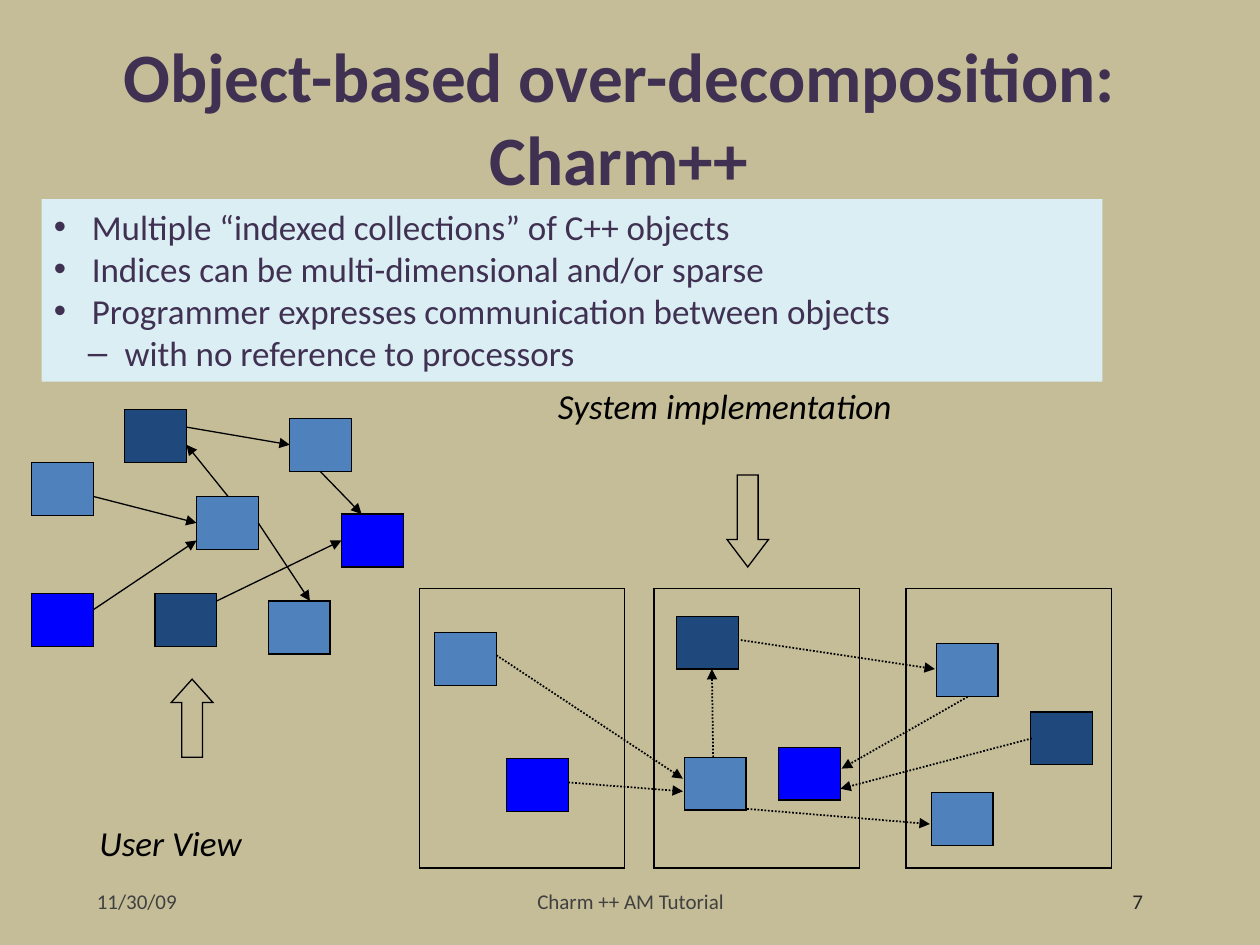
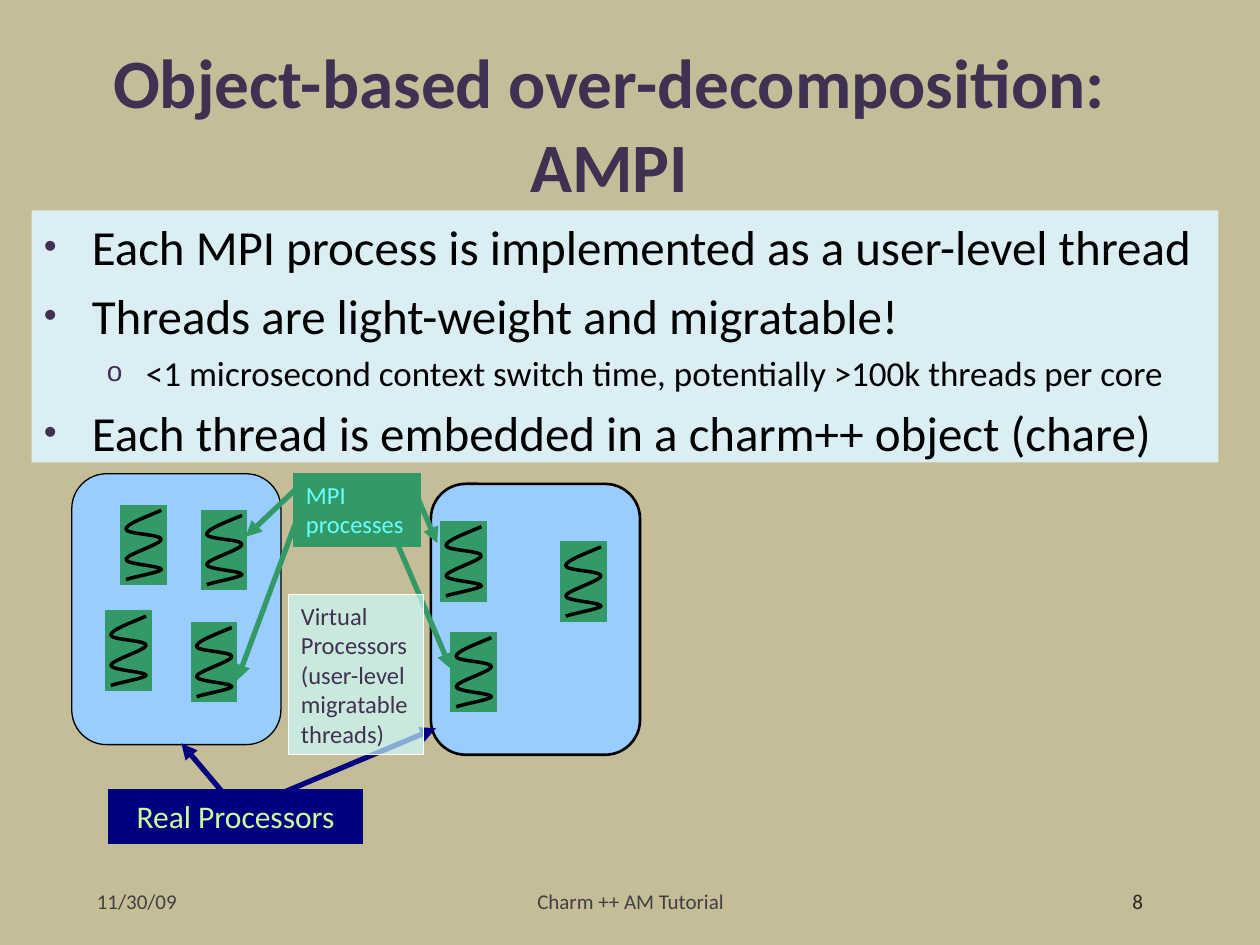
from lxml import etree
from pptx import Presentation
from pptx.dml.color import RGBColor
from pptx.enum.dml import MSO_LINE
from pptx.enum.shapes import MSO_CONNECTOR, MSO_SHAPE
from pptx.enum.text import MSO_ANCHOR, MSO_AUTO_SIZE, PP_ALIGN
from pptx.oxml.ns import qn
from pptx.util import Inches, Pt

RECTANGLE, ROUNDED = MSO_SHAPE.RECTANGLE, MSO_SHAPE.ROUNDED_RECTANGLE
UP_ARROW, DOWN_ARROW = MSO_SHAPE.UP_ARROW, MSO_SHAPE.DOWN_ARROW
LEFT, CENTER, RIGHT = PP_ALIGN.LEFT, PP_ALIGN.CENTER, PP_ALIGN.RIGHT
TOP, MIDDLE = MSO_ANCHOR.TOP, MSO_ANCHOR.MIDDLE
STRAIGHT, DOTTED = MSO_CONNECTOR.STRAIGHT, MSO_LINE.ROUND_DOT

FONT, BULLET_FONT = "Calibri", "Arial"
COLORS = {name: RGBColor.from_string(value) for name, value in {
    "background": "C4BD97", "purple": "403152", "panel": "DBEEF4",
    "black": "000000", "white": "FFFFFF", "date": "404040", "number": "262626",
    "light": "4F81BD", "dark": "1F497D", "bright": "0000FF",
    "processor": "99CCFF", "navy": "000080", "lime": "CCFF99",
    "green": "339966", "cyan": "66FFFF", "pale": "CCFFFF",
}.items()}


def add_box(slide, geometry, at, fill=None, line=None, weight=0.75,
            text="", size=14, color="black", align=LEFT):
    """Add a preset shape, with one paragraph of text if given."""
    shape = slide.shapes.add_shape(geometry, *map(Inches, at))
    shape.shadow.inherit = False
    if fill:
        shape.fill.solid()
        shape.fill.fore_color.rgb = COLORS[fill]
    else:
        shape.fill.background()
    if line:
        shape.line.color.rgb = COLORS[line]
        shape.line.width = Pt(weight)
        etree.SubElement(shape.line._get_or_add_ln(), qn("a:miter"), lim="800000")
    else:
        shape.line.fill.background()
    frame = shape.text_frame
    frame.word_wrap = True
    frame.vertical_anchor = TOP
    if text:
        paragraph = frame.paragraphs[0]
        paragraph.text = text
        paragraph.alignment = align
        paragraph.font.name = FONT
        paragraph.font.size = Pt(size)
        paragraph.font.color.rgb = COLORS[color]
    return shape


def add_arrow(slide, ends, color="black", weight=0.75, dash=None):
    """Add a straight arrow from (x1, y1) to (x2, y2)."""
    arrow = slide.shapes.add_connector(STRAIGHT, *map(Inches, ends))
    arrow.line.color.rgb = COLORS[color]
    arrow.line.width = Pt(weight)
    if dash:
        arrow.line.dash_style = dash
    etree.SubElement(arrow.line._get_or_add_ln(), qn("a:tailEnd"), type="triangle")
    etree.SubElement(arrow._element.spPr, qn("a:effectLst"))


presentation = Presentation()
presentation.slide_width, presentation.slide_height = Inches(10), Inches(7.5)
title_only = presentation.slide_layouts[5]

# Bullet styles: level, margin, hanging indent, character, bullet size, text size,
# space before, colour
charm_point = (0, 0.3, 0.3, "•", 100, 20, 0, "purple")
charm_detail = (1, 0.56, 0.29, "–", 100, 20, 0, "purple")
ampi_point = (0, 0.38, 0.38, "•", 75, 28, 5.6, "black")
ampi_detail = (1, 0.81, 0.31, "o", 80, 20, 4, "black")

contents = [
    ("Object-based over-decomposition: Charm++", (0.33, 0.3, 9.17, 1.25),
     "7", (0.33, 1.58, 8.42, 1.45), [
         ("Multiple “indexed collections” of C++ objects", charm_point),
         ("Indices can be multi-dimensional and/or sparse", charm_point),
         ("Programmer expresses communication between objects", charm_point),
         ("with no reference to processors", charm_detail)]),
    ("Object-based over-decomposition: AMPI", (0.17, 0.35, 9.33, 1.25),
     "8", (0.25, 1.67, 9.42, 2), [
         ("Each MPI process is implemented as a user-level thread", ampi_point),
         ("Threads are light-weight and migratable!", ampi_point),
         ("<1 microsecond context switch time, potentially >100k threads per core",
          ampi_detail),
         ("Each thread is embedded in a charm++ object (chare)", ampi_point)]),
]

# Shared parts: background, title, footers and bullet panel
for title_text, title_at, number, panel_at, bullets in contents:
    slide = presentation.slides.add_slide(title_only)
    slide.background.fill.solid()
    slide.background.fill.fore_color.rgb = COLORS["background"]

    title = slide.shapes.title
    title.left, title.top, title.width, title.height = map(Inches, title_at)
    title.text_frame.text = title_text
    title.text_frame.auto_size = MSO_AUTO_SIZE.NONE
    title.text_frame.vertical_anchor = MIDDLE
    paragraph = title.text_frame.paragraphs[0]
    paragraph.alignment = CENTER
    paragraph.font.name = FONT
    paragraph.font.size = Pt(39.6)
    paragraph.font.bold = True
    paragraph.font.color.rgb = COLORS["purple"]

    for text, left, width, align, color in [
            ("11/30/09", 0.67, 2.17, LEFT, "date"),
            ("Charm ++ AM Tutorial", 3.42, 3.17, CENTER, "date"),
            (number, 7.17, 2, RIGHT, "number")]:
        footer = slide.shapes.add_textbox(
            Inches(left), Inches(6.95), Inches(width), Inches(0.4))
        footer.text_frame.word_wrap = True
        footer.text_frame.vertical_anchor = MIDDLE
        paragraph = footer.text_frame.paragraphs[0]
        paragraph.text = text
        paragraph.alignment = align
        paragraph.font.name = FONT
        paragraph.font.size = Pt(12)
        paragraph.font.color.rgb = COLORS[color]

    frame = add_box(slide, RECTANGLE, panel_at, "panel").text_frame
    for index, (text, style) in enumerate(bullets):
        level, margin, hanging, character, bullet_size, size, before, color = style
        paragraph = frame.add_paragraph() if index else frame.paragraphs[0]
        paragraph.text = text
        paragraph.level = level
        properties = paragraph._p.get_or_add_pPr()
        properties.set("marL", str(Inches(margin)))
        properties.set("indent", str(-Inches(hanging)))
        bullet_color = etree.SubElement(properties, qn("a:buClr"))
        etree.SubElement(bullet_color, qn("a:srgbClr"), val=str(COLORS["purple"]))
        etree.SubElement(properties, qn("a:buSzPct"), val=str(bullet_size * 1000))
        etree.SubElement(properties, qn("a:buFont"), typeface=BULLET_FONT)
        etree.SubElement(properties, qn("a:buChar"), char=character)
        paragraph.alignment = LEFT
        paragraph.space_before = Pt(before)
        paragraph.font.name = FONT
        paragraph.font.size = Pt(size)
        paragraph.font.color.rgb = COLORS[color]

charm_slide, ampi_slide = presentation.slides

# Charm++: processors, then the objects of both views
for left in (3.33, 5.19, 7.19):
    add_box(charm_slide, RECTANGLE, (left, 4.67, 1.63, 2.22), line="black")

object_places = {
    "light": [(0.25, 3.67), (2.3, 3.32), (1.56, 3.94), (2.13, 4.77),
              (7.39, 6.29), (5.43, 6.01), (3.45, 5.02), (7.43, 5.11)],
    "dark": [(1.23, 4.71), (0.99, 3.25), (5.37, 4.89), (8.18, 5.65)],
    "bright": [(2.71, 4.08), (0.25, 4.71), (6.18, 5.93), (4.02, 6.02)],
}
for color, places in object_places.items():
    for left, top in places:
        add_box(charm_slide, RECTANGLE, (left, top, 0.49, 0.42), color, "black")

# Charm++: messages between objects
user_messages = [
    (0.74, 3.94, 1.56, 4.15), (0.74, 4.84, 1.56, 4.29), (1.72, 4.77, 2.71, 4.29),
    (1.81, 3.94, 1.48, 3.53), (1.48, 3.39, 2.3, 3.53), (2.05, 4.15, 2.46, 4.77),
    (2.54, 3.74, 2.87, 4.08)]
system_messages = [
    (3.94, 5.2, 5.42, 6.18), (4.51, 6.21, 5.42, 6.28), (5.88, 5.08, 7.42, 5.31),
    (7.68, 5.53, 6.68, 6.1), (8.19, 5.86, 6.67, 6.26), (5.66, 6.01, 5.65, 5.31),
    (5.93, 6.42, 7.38, 6.54)]
for ends in user_messages:
    add_arrow(charm_slide, ends)
for ends in system_messages:
    add_arrow(charm_slide, ends, weight=1, dash=DOTTED)

# Charm++: view labels with block arrows
for text, label_at, geometry, arrow_at, head in [
        ("User View", (0.69, 6.47, 1.45, 0.44), UP_ARROW, (1.36, 5.39, 0.33, 0.62), 0.56),
        ("System implementation", (4.33, 3, 3.2, 0.44),
         DOWN_ARROW, (5.77, 3.77, 0.33, 0.73), 0.66)]:
    label = charm_slide.shapes.add_textbox(*map(Inches, label_at))
    label.text_frame.word_wrap = False
    paragraph = label.text_frame.paragraphs[0]
    paragraph.text = text
    paragraph.font.name = FONT
    paragraph.font.size = Pt(20)
    paragraph.font.italic = True
    paragraph.font.color.rgb = COLORS["black"]
    block_arrow = add_box(charm_slide, geometry, arrow_at, line="black")
    block_arrow.adjustments[1] = head

# AMPI: real processors
for left, top, weight in [(3.42, 3.84, 1.5), (0.57, 3.76, 0.75)]:
    add_box(ampi_slide, ROUNDED, (left, top, 1.66, 2.15), "processor", "black", weight)
add_box(ampi_slide, RECTANGLE, (0.88, 6.28, 1.98, 0.4), "navy", "navy", 3,
        "Real Processors", 18, "lime", CENTER)
for ends in [(1.76, 6.28, 1.44, 5.9), (2.27, 6.28, 3.46, 5.78)]:
    add_arrow(ampi_slide, ends, "navy", 3)

# AMPI: MPI processes
add_box(ampi_slide, RECTANGLE, (2.33, 3.76, 1.01, 0.58), "green", "green",
        text="MPI processes", color="cyan")
for ends in [(2.35, 3.88, 1.95, 4.26), (2.35, 4.14, 1.88, 5.4),
             (3.16, 4.33, 3.58, 5.31), (3.25, 3.8, 3.47, 4.31)]:
    add_arrow(ampi_slide, ends, "green", 3)

# AMPI: threads, each a green box with a coil of five Bézier curves
coil = [
    (0.28, 0),
    (0.14, 0.06), (0, 0.11), (0, 0.15),
    (0, 0.19), (0.28, 0.19), (0.28, 0.23),
    (0.28, 0.27), (0, 0.35), (0, 0.39),
    (0, 0.43), (0.28, 0.44), (0.28, 0.47),
    (0.28, 0.49), (0.05, 0.53), (0, 0.55),
]
for left, top in [(0.96, 4.01), (1.6, 4.05), (1.52, 4.94), (4.45, 4.3),
                  (3.58, 5.02), (3.5, 4.14), (0.84, 4.85)]:
    add_box(ampi_slide, RECTANGLE, (left, top, 0.36, 0.63), "green", "green")
    points = [(Inches(left + 0.04 + x), Inches(top + 0.04 + y)) for x, y in coil]
    builder = ampi_slide.shapes.build_freeform(*points[0])
    builder.add_line_segments(points[1:], close=False)
    thread = builder.convert_to_shape()
    thread.shadow.inherit = False
    thread.fill.background()
    thread.line.color.rgb = COLORS["black"]
    thread.line.width = Pt(2)
    # Join every three line segments into one cubic curve
    segments = list(thread._element.iter(qn("a:lnTo")))
    outline = segments[0].getparent()
    for first in range(0, len(segments), 3):
        curve = etree.SubElement(outline, qn("a:cubicBezTo"))
        for segment in segments[first:first + 3]:
            curve.append(segment[0])
            outline.remove(segment)

# AMPI: translucent note on virtual processors
note = add_box(ampi_slide, RECTANGLE, (2.29, 4.72, 1.07, 1.27), "pale", "white",
               text="Virtual Processors (user-level migratable threads)", color="purple")
note_color = note._element.spPr.find(qn("a:solidFill")).find(qn("a:srgbClr"))
etree.SubElement(note_color, qn("a:alpha"), val="67000")

presentation.save("out.pptx")
